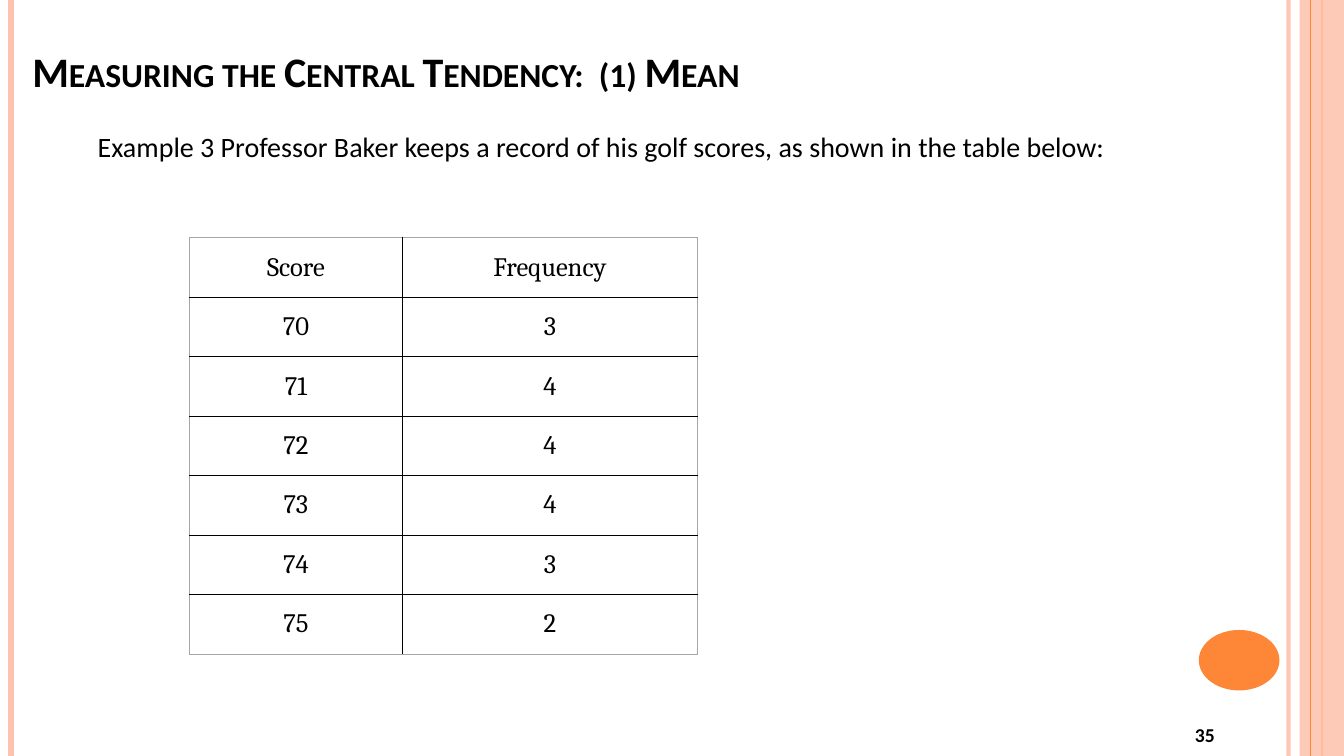
from dataclasses import dataclass

from lxml import etree
from pptx import Presentation
from pptx import util as u
from pptx.dml.color import RGBColor
from pptx.enum import shapes, text
from pptx.oxml import ns

Inches, Pt = u.Inches, u.Pt


@dataclass(frozen=True)
class Theme:
    ink: str = "000000"
    peach: str = "FEC3AE"
    orange: str = "FE8637"
    frame: str = "A6A6A6"
    sans: str = "Calibri"
    serif: str = "Cambria"
    title: int = 30
    body: int = 20
    cell: int = 19
    page: int = 14


THEME = Theme()
SCORES = [("Score", "Frequency"), ("70", "3"), ("71", "4"), ("72", "4"),
          ("73", "4"), ("74", "3"), ("75", "2")]


def place(shape, left, top, width, height):
    shape.left, shape.top = Inches(left), Inches(top)
    shape.width, shape.height = Inches(width), Inches(height)


def fade(shape, alpha):
    for color in shape._element.spPr.iter(ns.qn("a:srgbClr")):
        etree.SubElement(color, ns.qn("a:alpha"), val=str(alpha * 1000))


def write(frame, words, size, face=THEME.sans, bold=False,
          align=text.PP_ALIGN.LEFT):
    frame.text = words
    para = frame.paragraphs[0]
    para.alignment = align
    font = para.font
    font.name, font.size, font.bold = face, Pt(size), bold
    font.color.rgb = RGBColor.from_string(THEME.ink)
    return para


def add_title(slide, words):
    title = slide.shapes.title
    place(title, 0.22, 0.33, 12.78, 0.67)
    frame = title.text_frame
    frame.auto_size = text.MSO_AUTO_SIZE.NONE
    frame.vertical_anchor = text.MSO_ANCHOR.BOTTOM
    para = write(frame, words, THEME.title, bold=True)
    para._p.get_or_add_pPr().get_or_add_defRPr().set("cap", "small")


def add_text(slide, box, words, size, anchor=text.MSO_ANCHOR.TOP, **style):
    frame = slide.shapes.add_textbox(*map(Inches, box)).text_frame
    frame.word_wrap = True
    frame.vertical_anchor = anchor
    write(frame, words, size, **style)


def add_stripe(slide, left, color, width, alpha=100):
    line = slide.shapes.add_connector(
        shapes.MSO_CONNECTOR.STRAIGHT,
        Inches(left), Inches(0), Inches(left), Inches(7.5))
    line.line.color.rgb = RGBColor.from_string(color)
    line.line.width = Pt(width)
    etree.SubElement(line._element.spPr, ns.qn("a:effectLst"))
    if alpha < 100:
        fade(line, alpha)


def add_block(slide, kind, box, color, alpha=100):
    block = slide.shapes.add_shape(kind, *map(Inches, box))
    block.shadow.inherit = False
    block.fill.solid()
    block.fill.fore_color.rgb = RGBColor.from_string(color)
    block.line.fill.background()
    if alpha < 100:
        fade(block, alpha)


def add_edge(cell, side, outer):
    color, width = (THEME.frame, 0.75) if outer else (THEME.ink, 1)
    edge = etree.SubElement(cell._tc.get_or_add_tcPr(), ns.qn(f"a:ln{side}"),
                            w=str(Pt(width)))
    fill = etree.SubElement(edge, ns.qn("a:solidFill"))
    etree.SubElement(fill, ns.qn("a:srgbClr"), val=color)


def add_scores(slide, rows):
    widths = (2.11, 2.93)
    high = 0.59
    table = slide.shapes.add_table(
        len(rows), len(widths), Inches(1.88), Inches(2.36),
        Inches(sum(widths)), Inches(high * len(rows))).table
    table.first_row = table.horz_banding = False
    for column, width in zip(table.columns, widths):
        column.width = Inches(width)
    for r, row in enumerate(rows):
        table.rows[r].height = Inches(high)
        for c, words in enumerate(row):
            cell = table.cell(r, c)
            cell.margin_left = cell.margin_right = Inches(0.05)
            cell.margin_top = cell.margin_bottom = Inches(0.05)
            cell.vertical_anchor = text.MSO_ANCHOR.MIDDLE
            write(cell.text_frame, words, THEME.cell, THEME.serif,
                  align=text.PP_ALIGN.CENTER)
            add_edge(cell, "L", c == 0)
            add_edge(cell, "R", c == len(widths) - 1)
            add_edge(cell, "T", r == 0)
            add_edge(cell, "B", r == len(rows) - 1)
            cell.fill.background()


def add_trim(slide):
    add_stripe(slide, 12.78, THEME.peach, 3, 93)
    add_stripe(slide, 0.11, THEME.peach, 4.5)
    add_stripe(slide, 13.11, THEME.orange, 1.5)
    add_block(slide, shapes.MSO_SHAPE.RECTANGLE, (12.89, 0, 0.44, 7.5),
              THEME.peach, 87)
    add_stripe(slide, 13, THEME.orange, 0.75)
    add_block(slide, shapes.MSO_SHAPE.OVAL, (11.89, 6.25, 0.8, 0.6),
              THEME.orange)


def main():
    deck = Presentation()
    deck.slide_width, deck.slide_height = Inches(13.33), Inches(7.5)
    slide = deck.slides.add_slide(deck.slide_layouts[5])
    add_trim(slide)
    add_title(slide, "Measuring the Central Tendency:  (1) Mean")
    add_text(slide, (10.56, 7.08, 2.78, 0.42), "35", THEME.page,
             text.MSO_ANCHOR.MIDDLE, bold=True, align=text.PP_ALIGN.CENTER)
    add_text(slide, (0.87, 1.24, 10.95, 0.44),
             "Example 3 Professor Baker keeps a record of his golf scores, "
             "as shown in the table below:", THEME.body)
    add_scores(slide, SCORES)
    deck.save("out.pptx")


if __name__ == "__main__":
    main()
